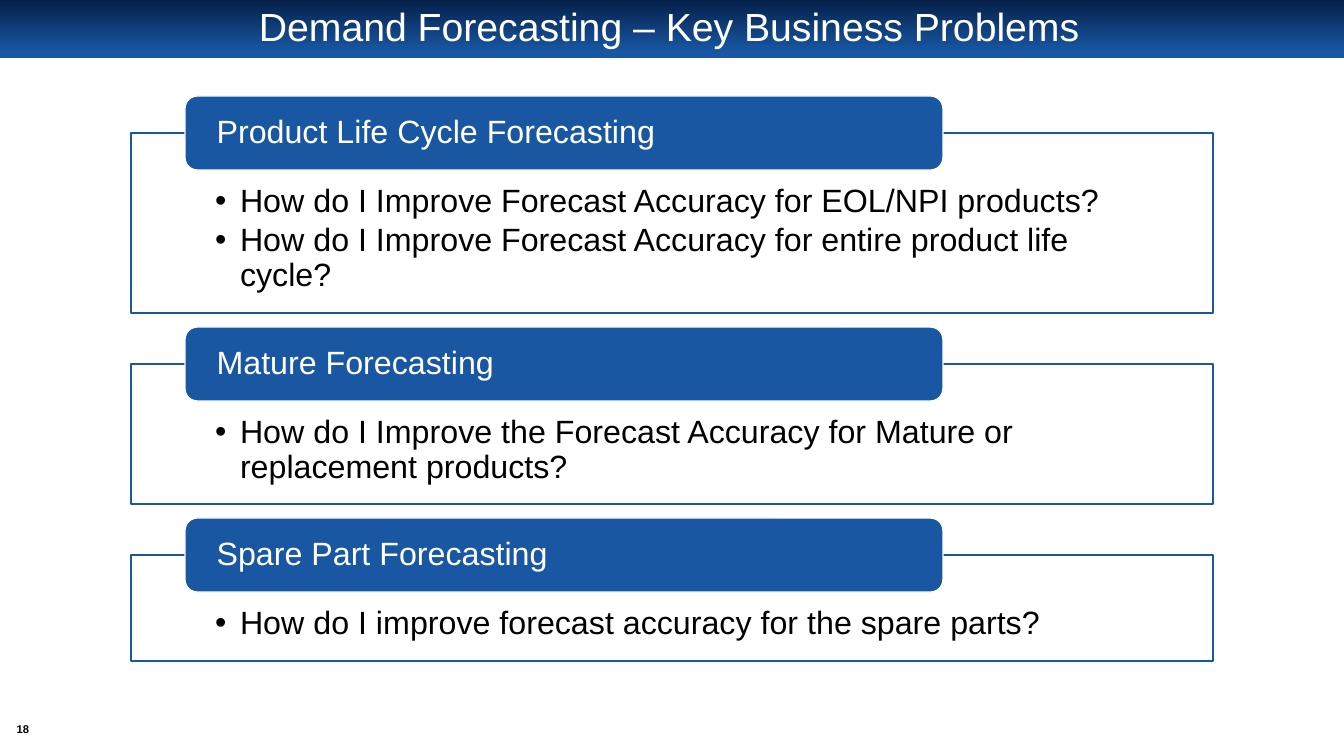
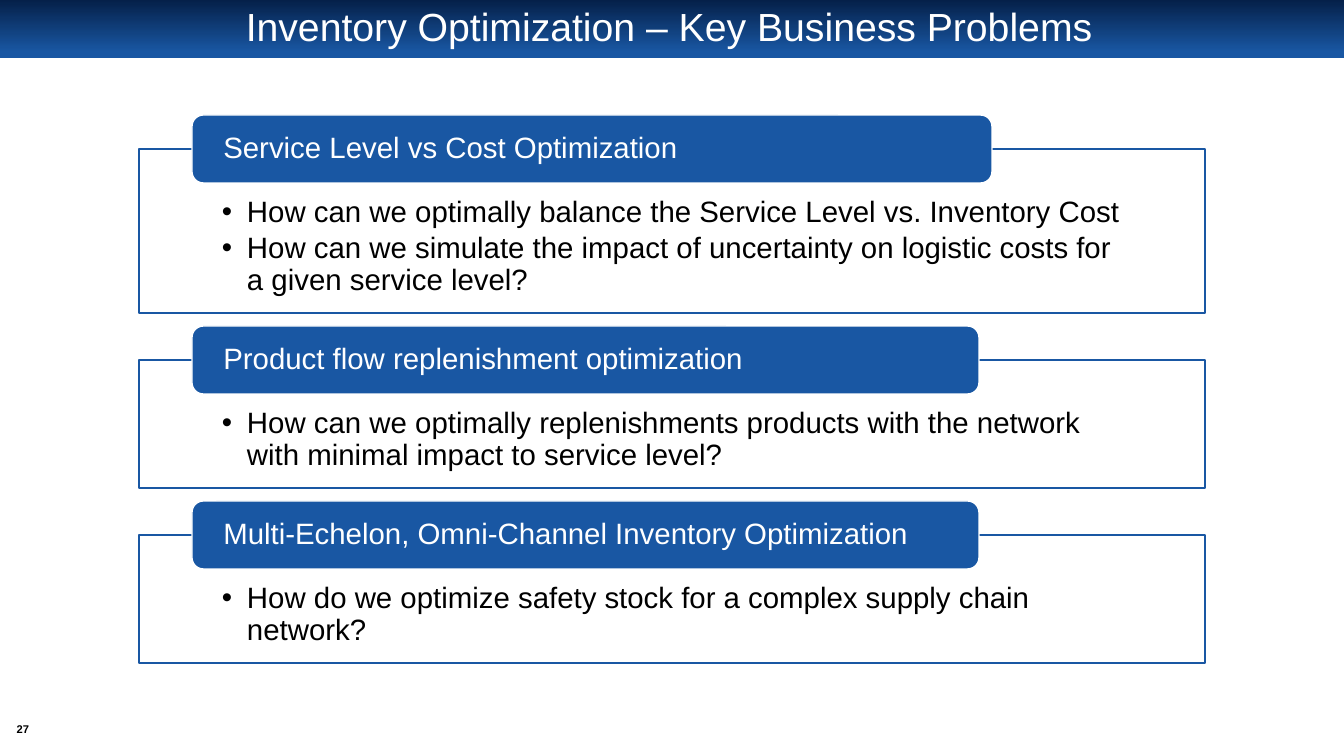
from dataclasses import dataclass, field

from lxml import etree
from pptx import Presentation
from pptx.dml.color import RGBColor
from pptx.enum.shapes import MSO_SHAPE
from pptx.enum.text import MSO_ANCHOR, MSO_AUTO_SIZE, PP_ALIGN
from pptx.oxml.ns import qn
from pptx.util import Emu, Pt

RECTANGLE = MSO_SHAPE.RECTANGLE
ROUNDED = MSO_SHAPE.ROUNDED_RECTANGLE
TOP, MIDDLE = MSO_ANCHOR.TOP, MSO_ANCHOR.MIDDLE
LEFT, CENTER = PP_ALIGN.LEFT, PP_ALIGN.CENTER
NO_AUTOFIT = MSO_AUTO_SIZE.NONE

SLIDE_WIDTH, SLIDE_HEIGHT = 1344, 756
EMU_PER_PX = 12192000 / SLIDE_WIDTH
TITLE_ONLY = 5


@dataclass(frozen=True)
class Theme:
    font: str = "Arial"
    blue: RGBColor = field(default_factory=lambda: RGBColor(0x19, 0x57, 0xA3))
    navy: RGBColor = field(default_factory=lambda: RGBColor(0x05, 0x20, 0x49))
    white: RGBColor = field(default_factory=lambda: RGBColor(255, 255, 255))
    black: RGBColor = field(default_factory=lambda: RGBColor(0, 0, 0))
    title_size: int = 28
    number_size: int = 8
    outline: int = 1
    line_spacing: float = 0.9
    bullet_gap: int = 3
    bullet_indent: int = 25


THEME = Theme()


@dataclass(frozen=True)
class Box:
    left: int
    top: int
    width: int
    height: int

    def emu(self) -> tuple:
        return tuple(px(n) for n in (self.left, self.top, self.width, self.height))


@dataclass(frozen=True)
class Topic:
    heading: str
    questions: tuple
    header_width: int
    panel_height: int


@dataclass(frozen=True)
class ProblemSlide:
    title: str
    number: str
    top: int
    panel_width: int
    header_height: int
    gap: int
    text_size: int
    panel_insets: tuple
    topics: tuple


BAND = Box(0, 0, SLIDE_WIDTH, 58)
TITLE = Box(66, 6, 1206, 45)
NUMBER = Box(8, 720, 30, 19)
TITLE_INSETS = (10, 5, 10, 5)
HEADER_INSETS = (28, 0, 28, 0)
NO_INSETS = (0, 0, 0, 0)

SLIDES = (
    ProblemSlide(
        "Demand Forecasting – Key Business Problems", "18",
        96, 1082, 74, 14, 23, (84, 52, 84, 18),
        (
            Topic("Product Life Cycle Forecasting",
                  ("How do I Improve Forecast Accuracy for EOL/NPI products?",
                   "How do I Improve Forecast Accuracy for entire product life cycle?"),
                  758, 180),
            Topic("Mature Forecasting",
                  ("How do I Improve the Forecast Accuracy for Mature or replacement products?",),
                  758, 140),
            Topic("Spare Part Forecasting",
                  ("How do I improve forecast accuracy for the spare parts?",),
                  758, 106),
        ),
    ),
    ProblemSlide(
        "Inventory Optimization – Key Business Problems", "27",
        115, 1066, 68, 13, 21, (83, 48, 83, 16),
        (
            Topic("Service Level vs Cost Optimization",
                  ("How can we optimally balance the Service Level vs. Inventory Cost",
                   "How can we simulate the impact of uncertainty on logistic costs "
                   "for a given service level?"),
                  800, 164),
            Topic("Product flow replenishment optimization",
                  ("How can we optimally replenishments products with the network "
                   "with minimal impact to service level?",),
                  787, 128),
            Topic("Multi-Echelon, Omni-Channel Inventory Optimization",
                  ("How do we optimize safety stock for a complex supply chain network?",),
                  787, 128),
        ),
    ),
)


def px(length: int) -> Emu:
    return Emu(round(length * EMU_PER_PX))


def apply(target, values: dict) -> None:
    for name, value in values.items():
        setattr(target, name, value)


def add_bullet(paragraph) -> None:
    properties = paragraph._p.get_or_add_pPr()
    indent = px(THEME.bullet_indent)
    properties.set("marL", str(indent))
    properties.set("indent", str(-indent))
    etree.SubElement(properties, qn("a:buFont")).set("typeface", THEME.font)
    etree.SubElement(properties, qn("a:buChar")).set("char", "•")


def write(shape, lines: tuple, size: int, color: RGBColor, insets: tuple,
          anchor=MIDDLE, alignment=LEFT, bullets: bool = False,
          bold: bool = False, wrap: bool = True) -> None:
    frame = shape.text_frame
    left, top, right, bottom = (px(n) for n in insets)
    apply(frame, {
        "auto_size": NO_AUTOFIT, "word_wrap": wrap, "vertical_anchor": anchor,
        "margin_left": left, "margin_top": top,
        "margin_right": right, "margin_bottom": bottom,
    })
    for index, line in enumerate(lines):
        paragraph = frame.add_paragraph() if index else frame.paragraphs[0]
        apply(paragraph, {
            "alignment": alignment, "line_spacing": THEME.line_spacing,
            "space_before": Pt(0),
            "space_after": Pt(THEME.bullet_gap if bullets else 0),
        })
        if bullets:
            add_bullet(paragraph)
        run = paragraph.add_run()
        run.text = line
        apply(run.font, {"name": THEME.font, "size": Pt(size), "bold": bold})
        run.font.color.rgb = color


def add_box(slide, kind, box: Box, fill: RGBColor, line: RGBColor):
    shape = slide.shapes.add_shape(kind, *box.emu())
    shape.shadow.inherit = False
    shape.fill.solid()
    shape.fill.fore_color.rgb = fill
    shape.line.color.rgb = line
    shape.line.width = Pt(THEME.outline)
    return shape


def add_layout_band(slide) -> None:
    band = slide.shapes.add_shape(RECTANGLE, *BAND.emu())
    band.shadow.inherit = False
    band.line.fill.background()
    band.fill.gradient()
    band.fill.gradient_angle = 270
    stops = ((0, THEME.navy), (0.9, THEME.blue))
    for stop, (position, color) in zip(band.fill.gradient_stops, stops):
        stop.position = position
        stop.color.rgb = color
    slide.slide_layout.shapes.element.insert(2, band.element)


def add_topic(slide, content: ProblemSlide, topic: Topic, top: int) -> int:
    left = (SLIDE_WIDTH - content.panel_width) // 2
    panel_box = Box(left, top + content.header_height // 2,
                    content.panel_width, topic.panel_height)
    header_box = Box(left + content.panel_width // 20, top,
                     topic.header_width, content.header_height)
    panel = add_box(slide, RECTANGLE, panel_box, THEME.white, THEME.blue)
    write(panel, topic.questions, content.text_size, THEME.black,
          content.panel_insets, anchor=TOP, bullets=True)
    header = add_box(slide, ROUNDED, header_box, THEME.blue, THEME.white)
    write(header, (topic.heading,), content.text_size, THEME.white, HEADER_INSETS)
    return panel_box.top + panel_box.height + content.gap


def fill_slide(slide, content: ProblemSlide) -> None:
    title = slide.shapes.title
    apply(title, dict(zip(("left", "top", "width", "height"), TITLE.emu())))
    write(title, (content.title,), THEME.title_size, THEME.white, TITLE_INSETS,
          alignment=CENTER)
    number = slide.shapes.add_textbox(*NUMBER.emu())
    write(number, (content.number,), THEME.number_size, THEME.black, NO_INSETS,
          alignment=CENTER, bold=True, wrap=False)
    top = content.top
    for topic in content.topics:
        top = add_topic(slide, content, topic, top)


def main() -> None:
    presentation = Presentation()
    presentation.slide_width = px(SLIDE_WIDTH)
    presentation.slide_height = px(SLIDE_HEIGHT)
    layout = presentation.slide_layouts[TITLE_ONLY]
    for index, content in enumerate(SLIDES):
        slide = presentation.slides.add_slide(layout)
        if index == 0:
            add_layout_band(slide)
        fill_slide(slide, content)
    presentation.save("out.pptx")


if __name__ == "__main__":
    main()
